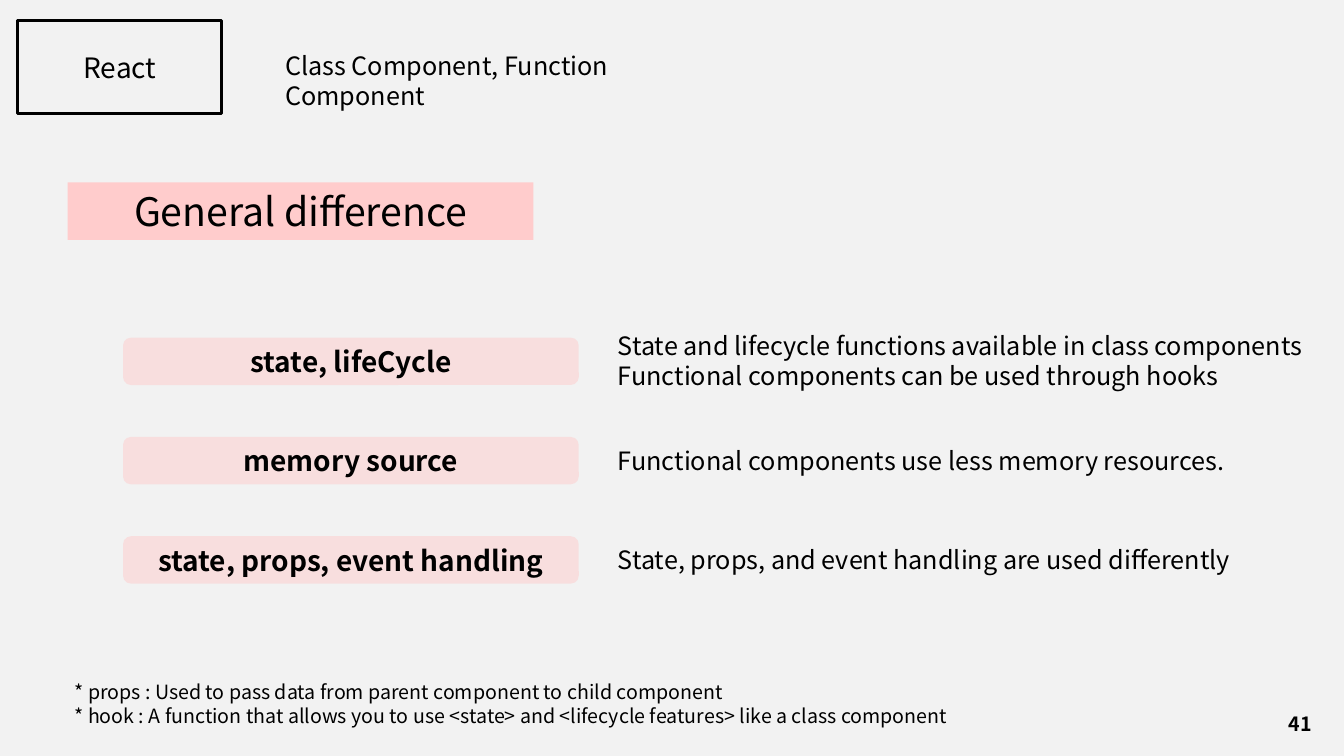
from dataclasses import dataclass

from lxml import etree
from pptx import Presentation
from pptx.dml.color import RGBColor
from pptx.enum import shapes, text
from pptx.oxml import ns
from pptx.util import Inches, Pt

COLORS = {"page": "F2F2F2", "ink": "000000", "pink": "FFCCCC"}
FONT = "Noto Sans CJK KR"
LABEL_LEFT, LABEL_WIDTH, LABEL_HEIGHT = 1.22, 4.52, 0.47
NOTE_LEFT, NOTE_WIDTH = 6.03, 6.99
FIRST_ROW, ROW_STEP = 3.35, 0.985


@dataclass
class Difference:
    label: str
    notes: list[str]
    note_height: float = 0.4


DIFFERENCES = [
    Difference("state, lifeCycle", [
        "State and lifecycle functions available in class components",
        "Functional components can be used through hooks",
    ], 0.71),
    Difference("memory source", ["Functional components use less memory resources."]),
    Difference("state, props, event handling",
               ["State, props, and event handling are used differently"]),
]
FOOTNOTES = [
    "* props : Used to pass data from parent component to child component",
    "* hook : A function that allows you to use <state> and <lifecycle features> "
    "like a class component",
]


def color(name: str) -> RGBColor:
    return RGBColor.from_string(COLORS[name])


def set_alpha(fill_parent, percent: int) -> None:
    """Make the solid fill found under an XML element partly transparent."""
    value = fill_parent.find(ns.qn("a:solidFill"))[0]
    etree.SubElement(value, ns.qn("a:alpha"), val=str(percent * 1000))


def outline_span(span) -> None:
    """Give the letters a thin, faint outline."""
    line = etree.Element(ns.qn("a:ln"), w=str(Pt(0.75)))
    fill = etree.SubElement(line, ns.qn("a:solidFill"))
    etree.SubElement(fill, ns.qn("a:srgbClr"), val=COLORS["ink"])
    set_alpha(line, 30)
    span.font._element.insert(0, line)


def write(box, lines: list[str], *, size: int, bold: bool = False,
          centered: bool = False, middle: bool = False, grow: bool = False) -> None:
    frame = box.text_frame
    frame.word_wrap = True
    frame.vertical_anchor = text.MSO_ANCHOR.MIDDLE if middle else text.MSO_ANCHOR.TOP
    if grow:
        frame.auto_size = text.MSO_AUTO_SIZE.SHAPE_TO_FIT_TEXT
    for index, line in enumerate(lines):
        para = frame.add_paragraph() if index else frame.paragraphs[0]
        para.alignment = text.PP_ALIGN.CENTER if centered else text.PP_ALIGN.LEFT
        span = para.add_run()
        span.text = line
        span.font.name = FONT
        span.font.size = Pt(size)
        span.font.color.rgb = color("ink")
        if bold:
            span.font.bold = True
        else:
            outline_span(span)


def add_text(parent, left: float, top: float, width: float, height: float,
             lines: list[str], **style) -> None:
    box = parent.shapes.add_textbox(*map(Inches, (left, top, width, height)))
    write(box, lines, **style)


def add_panel(parent, kind, left: float, top: float, width: float, height: float):
    """Add a pink panel without a border."""
    panel = parent.shapes.add_shape(kind, *map(Inches, (left, top, width, height)))
    panel.shadow.inherit = False
    panel.fill.solid()
    panel.fill.fore_color.rgb = color("pink")
    panel.line.fill.background()
    return panel


def add_topic(page) -> None:
    group = page.shapes.add_group_shape()
    add_text(group, 0.23, 0.45, 1.92, 0.44, ["React"],
             size=20, centered=True, middle=True, grow=True)
    frame = add_panel(group, shapes.MSO_SHAPE.RECTANGLE, 0.17, 0.2, 2.03, 0.93)
    frame.fill.background()
    frame.line.color.rgb = color("ink")
    frame.line.width = Pt(2)


def add_difference(page, row: int, item: Difference) -> None:
    top = FIRST_ROW + row * ROW_STEP
    label = add_panel(page, shapes.MSO_SHAPE.ROUNDED_RECTANGLE,
                      LABEL_LEFT, top, LABEL_WIDTH, LABEL_HEIGHT)
    set_alpha(label._element.spPr, 50)
    write(label, [item.label], size=20, bold=True, centered=True, middle=True)
    note_top = top + (LABEL_HEIGHT - item.note_height) / 2
    add_text(page, NOTE_LEFT, note_top, NOTE_WIDTH, item.note_height,
             item.notes, size=18, grow=True)


def main() -> None:
    deck = Presentation()
    deck.slide_width, deck.slide_height = Inches(13.33), Inches(7.5)
    page = deck.slides.add_slide(deck.slide_layouts[6])
    page.background.fill.solid()
    page.background.fill.fore_color.rgb = color("page")

    add_topic(page)
    add_text(page, 2.73, 0.45, 4.52, 0.4, ["Class Component, Function Component"],
             size=18, grow=True)
    heading = add_panel(page, shapes.MSO_SHAPE.RECTANGLE, 0.67, 1.81, 4.62, 0.57)
    write(heading, ["General difference"], size=28, centered=True, grow=True)
    for row, item in enumerate(DIFFERENCES):
        add_difference(page, row, item)
    add_text(page, 0.64, 6.7, 11.65, 0.57, FOOTNOTES, size=14, grow=True)
    add_text(page, 12.65, 6.98, 0.49, 0.4, ["41"],
             size=14, bold=True, centered=True, middle=True)
    deck.save("out.pptx")


if __name__ == "__main__":
    main()
